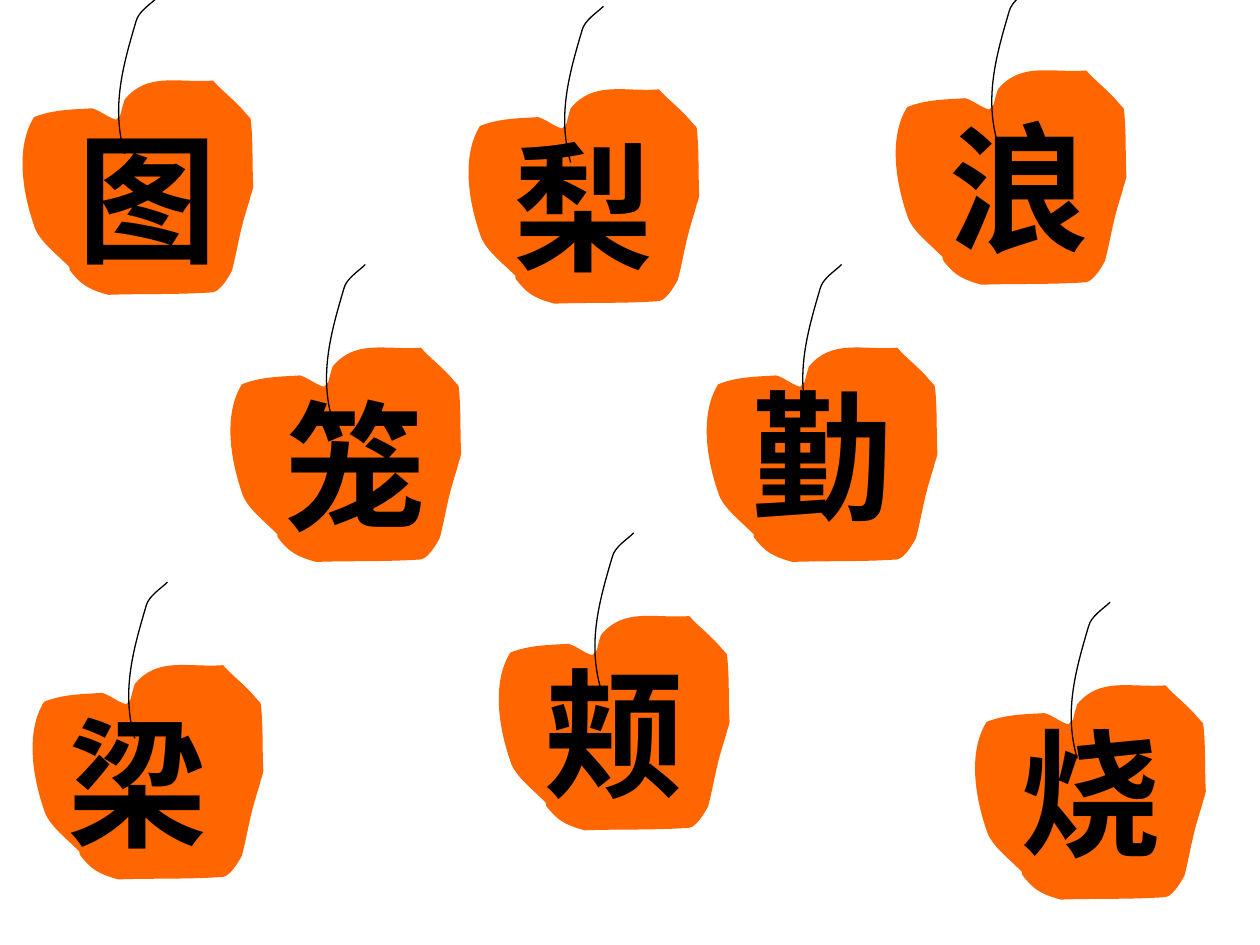
from pptx import Presentation
from pptx.dml.color import RGBColor
from pptx.enum.text import MSO_AUTO_SIZE as AutoSize
from pptx.oxml.ns import qn
from pptx.util import Inches, Pt
from lxml.etree import SubElement

ORANGE = "FF6600"
BLACK = "000000"
FONT = "Times New Roman"

# Outlines in inches from the apple's corner: a start, then three points per curve
APPLE_OUTLINE = [
    (0.80, 0.38),
    (0.73, 0.36), (0.68, 0.31), (0.61, 0.29),
    (0.45, 0.30), (0.30, 0.30), (0.15, 0.36),
    (0.00, 0.60), (0.06, 0.96), (0.15, 1.22),
    (0.18, 1.33), (0.32, 1.44), (0.39, 1.51),
    (0.49, 1.60), (0.37, 1.51), (0.48, 1.63),
    (0.55, 1.71), (0.63, 1.74), (0.74, 1.77),
    (1.01, 1.76), (1.29, 1.77), (1.57, 1.75),
    (1.64, 1.74), (1.72, 1.58), (1.72, 1.58),
    (1.76, 1.43), (1.78, 1.28), (1.83, 1.12),
    (1.84, 1.08), (1.86, 1.03), (1.87, 0.98),
    (1.88, 0.96), (1.89, 0.91), (1.89, 0.91),
    (1.88, 0.73), (1.89, 0.56), (1.87, 0.38),
    (1.87, 0.36), (1.84, 0.35), (1.83, 0.33),
    (1.75, 0.23), (1.65, 0.16), (1.57, 0.07),
    (1.29, 0.09), (1.05, 0.00), (0.87, 0.22),
    (0.82, 0.37), (0.86, 0.32), (0.80, 0.38),
]
STEM = [
    (0.87, 0.65),
    (0.76, 0.28), (0.86, -0.06), (0.96, -0.40),
    (0.98, -0.48), (1.08, -0.54), (1.13, -0.59),
]

# Character, corner of its apple, corner of its text box
APPLES = [
    ("梨", (3.66, 0.64), (3.98, 0.91)),
    ("图", (0.12, 0.57), (0.52, 0.84)),
    ("笼", (1.77, 2.69), (2.17, 2.96)),
    ("浪", (7.05, 0.49), (7.44, 0.76)),
    ("勤", (5.55, 2.69), (5.87, 2.88)),
    ("烧", (7.68, 5.37), (8.00, 5.56)),
    ("颊", (3.90, 4.82), (4.22, 5.09)),
    ("梁", (0.20, 5.21), (0.44, 5.48)),
]
TEXT_WIDTH, TEXT_HEIGHT = 1.31, 1.44


def color(value):
    return RGBColor.from_string(value)


def add_curve(shapes, points, corner, fill=None, line=None, close=False):
    """Draw a freeform whose points after the first form cubic curves."""
    left, top = corner
    start, *rest = [(Inches(left + x), Inches(top + y)) for x, y in points]
    builder = shapes.build_freeform(*start)
    builder.add_line_segments(rest, close=close)
    shape = builder.convert_to_shape()
    shape.shadow.inherit = False

    # Join each three line segments into one Bézier curve
    segments = list(shape._element.iter(qn("a:lnTo")))
    for first in range(0, len(segments), 3):
        curve = SubElement(segments[first].getparent(), qn("a:cubicBezTo"))
        segments[first].addprevious(curve)
        for segment in segments[first:first + 3]:
            curve.append(segment[0])
            segment.getparent().remove(segment)

    if fill:
        shape.fill.solid()
        shape.fill.fore_color.rgb = color(fill)
    else:
        shape.fill.background()
    if line:
        shape.line.color.rgb = color(line)
        shape.line.width = Pt(0.75)
    else:
        shape.line.fill.background()
    return shape


def add_apple(slide, corner):
    group = slide.shapes.add_group_shape()
    add_curve(group.shapes, APPLE_OUTLINE, corner, fill=ORANGE, close=True)
    add_curve(group.shapes, STEM, corner, line=BLACK)


def add_character(slide, text, corner, size=80, bold=True):
    left, top = corner
    box = slide.shapes.add_textbox(Inches(left), Inches(top),
                                   Inches(TEXT_WIDTH), Inches(TEXT_HEIGHT))
    frame = box.text_frame
    frame.word_wrap = False
    frame.auto_size = AutoSize.SHAPE_TO_FIT_TEXT
    run = frame.paragraphs[0].add_run()
    run.text = text
    run.font.name = FONT
    run.font.size = Pt(size)
    run.font.bold = bold
    run.font.color.rgb = color(BLACK)


def main():
    presentation = Presentation()
    presentation.slide_width = Inches(10)
    presentation.slide_height = Inches(7.5)
    slide = presentation.slides.add_slide(presentation.slide_layouts[6])

    # Apples first, so every character lies in front of them
    for _, apple_corner, _ in APPLES:
        add_apple(slide, apple_corner)
    for text, _, text_corner in APPLES:
        add_character(slide, text, text_corner)

    presentation.save("out.pptx")


if __name__ == "__main__":
    main()
